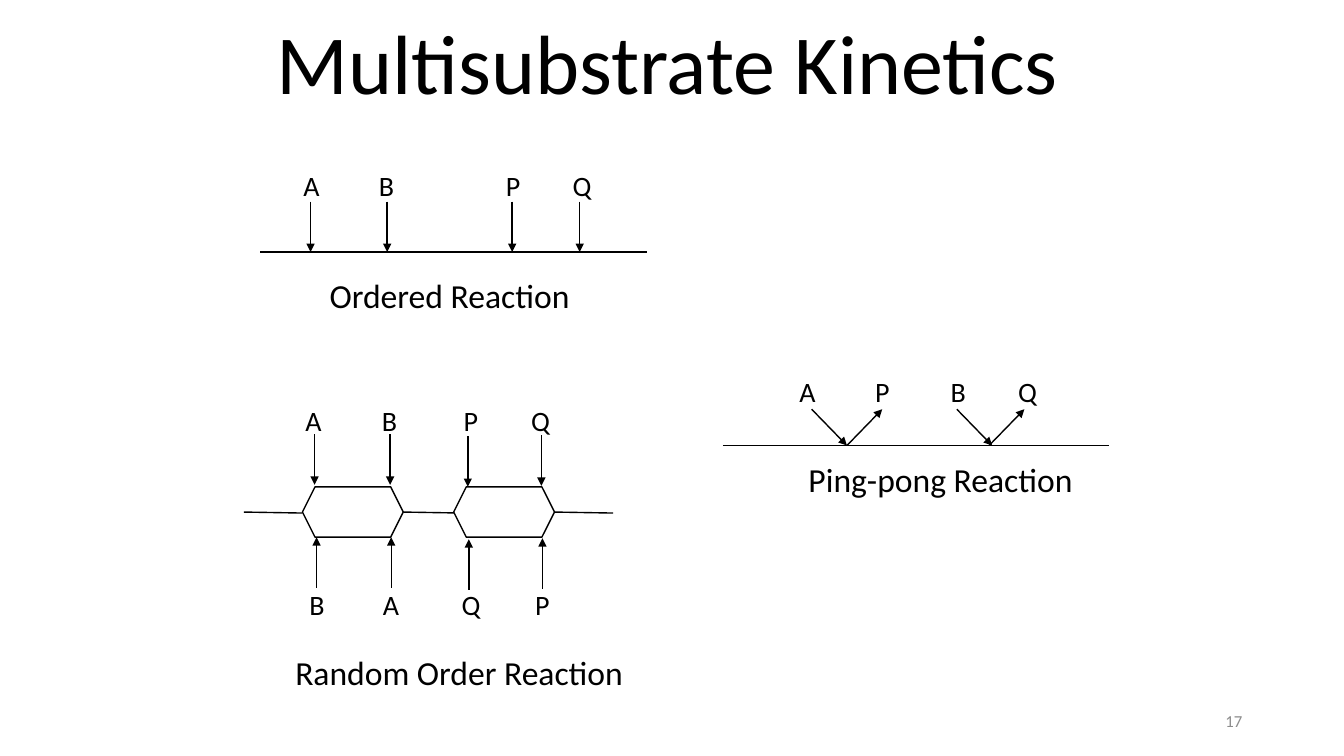
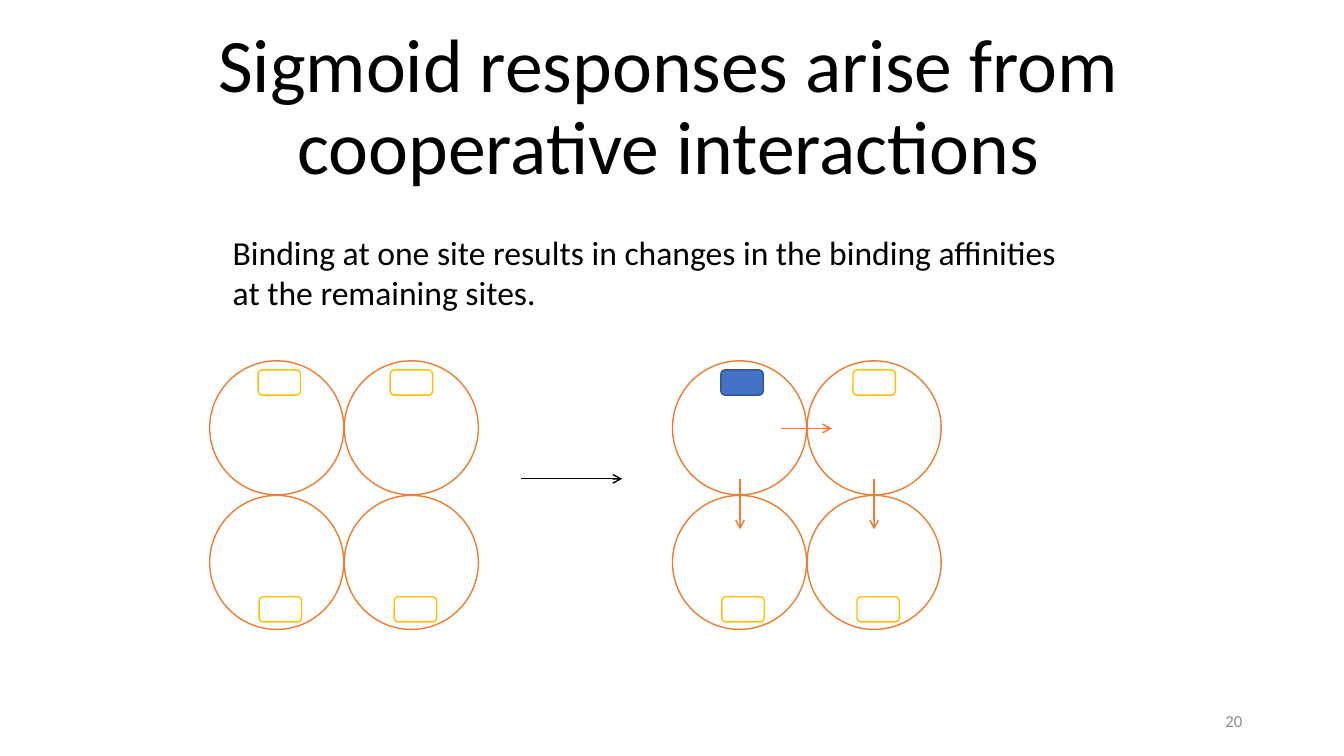
from lxml.etree import SubElement
from pptx import Presentation
from pptx.dml.color import RGBColor
from pptx.enum.shapes import MSO_CONNECTOR, MSO_SHAPE
from pptx.enum.text import MSO_ANCHOR, MSO_AUTO_SIZE, PP_ALIGN
from pptx.oxml.ns import qn
from pptx.util import Inches, Pt

FONT = "Calibri"
COLORS = {
    "text": "000000",
    "muted": "8C8C8C",
    "paper": "FFFFFF",
    "subunit": "ED7D31",
    "site": "FFC000",
    "bound": "4472C4",
    "bound_edge": "325491",
}


def rgb(name):
    """Return the named palette colour."""
    return RGBColor.from_string(COLORS[name])


def add_text(s, box, lines, size, color="text", align=PP_ALIGN.LEFT,
             anchor=MSO_ANCHOR.TOP, wrap=True, grow=False, spacing=None):
    """Add a text box with one paragraph per line."""
    tf = s.shapes.add_textbox(*map(Inches, box)).text_frame
    tf.word_wrap = wrap
    tf.auto_size = MSO_AUTO_SIZE.SHAPE_TO_FIT_TEXT if grow else MSO_AUTO_SIZE.NONE
    tf.vertical_anchor = anchor
    for i, line in enumerate(lines):
        p = tf.add_paragraph() if i else tf.paragraphs[0]
        p.alignment = align
        if spacing:
            p.line_spacing = spacing
        r = p.add_run()
        r.text = line
        r.font.name = FONT
        r.font.size = Pt(size)
        r.font.color.rgb = rgb(color)


def add_caption(s, box, *lines):
    """Add unwrapped 24 pt text."""
    add_text(s, box, lines, 24, wrap=False, grow=True)


def add_label(s, x, y, letter):
    """Add a one-letter substrate or product label."""
    add_text(s, (x, y, 0.25, 0.44), [letter], 20, grow=True)


def add_line(s, start, end, color="text", head=None):
    """Add a straight line, with an arrowhead at its end if one is named."""
    sp = s.shapes.add_connector(
        MSO_CONNECTOR.STRAIGHT, *map(Inches, (*start, *end)))
    sp.line.color.rgb = rgb(color)
    sp.line.width = Pt(1)
    if head:
        SubElement(sp.line._get_or_add_ln(), qn("a:tailEnd"), type=head)
    SubElement(sp._element.spPr, qn("a:effectLst"))


def add_outline(s, kind, box, line, fill="paper"):
    """Add a filled preset shape with a thin outline."""
    sp = s.shapes.add_shape(kind, *map(Inches, box))
    sp.shadow.inherit = False
    sp.fill.solid()
    sp.fill.fore_color.rgb = rgb(fill)
    sp.line.color.rgb = rgb(line)
    sp.line.width = Pt(1)


def add_base(prs, title, title_box, title_size, number):
    """Add a blank slide with its title and slide number."""
    s = prs.slides.add_slide(prs.slide_layouts[6])
    add_text(s, title_box, [title], title_size, align=PP_ALIGN.CENTER,
             anchor=MSO_ANCHOR.BOTTOM, spacing=0.9)
    add_text(s, (9.42, 6.95, 3, 0.4), [number], 12, "muted",
             PP_ALIGN.RIGHT, MSO_ANCHOR.MIDDLE)
    return s


def add_ordered(s):
    """Draw the ordered reaction scheme."""
    add_line(s, (2.58, 2.5), (6.42, 2.5))
    for letter, label_x, x in (("A", 2.91, 3.08), ("B", 3.66, 3.84),
                               ("P", 4.92, 5.08), ("Q", 5.58, 5.75)):
        add_label(s, label_x, 1.62, letter)
        add_line(s, (x, 2), (x, 2.5), head="triangle")
    add_caption(s, (3.17, 2.68, 2.61, 0.5), "Ordered Reaction")


def add_random_order(s):
    """Draw the random order scheme with its two branching loops."""
    for x in (2.42, 4, 5.5):
        add_line(s, (x, 5.08), (x + 0.58, 5.09))
    for x in (3, 4.5):
        add_outline(s, MSO_SHAPE.HEXAGON, (x, 4.83, 1, 0.5), "text")
    for letter, label_x, x, y in (("A", 2.93, 3.12, 4.31), ("B", 3.69, 3.87, 4.31),
                                  ("P", 4.5, 4.64, 4.33), ("Q", 5.17, 5.37, 4.32)):
        add_label(s, label_x, 3.95, letter)
        add_line(s, (x, y), (x, y + 0.5), head="triangle")
    for letter, label_x, x, y in (("B", 2.97, 3.14, 5.83), ("A", 3.7, 3.88, 5.83),
                                  ("Q", 4.48, 4.65, 5.85), ("P", 5.21, 5.38, 5.84)):
        add_label(s, label_x, 5.78, letter)
        add_line(s, (x, y), (x, y - 0.5), head="triangle")
    add_caption(s, (2.83, 6.42, 3.49, 0.5), "Random Order Reaction")


def add_ping_pong(s):
    """Draw the ping-pong scheme."""
    top, base = 4.06, 4.42
    add_line(s, (7.17, base), (11, base))
    for letter, x in (("A", 7.83), ("P", 8.58), ("B", 9.33), ("Q", 10)):
        add_label(s, x, 3.67, letter)
    for enter, leave in ((8.05, 8.4), (9.49, 9.81)):
        add_line(s, (enter, top), (enter + 0.35, base), head="triangle")
        add_line(s, (leave, base), (leave + 0.35, top), head="triangle")
    add_caption(s, (7.92, 4.5, 2.85, 0.5), "Ping-pong Reaction")


def add_tetramer(s, left, bound=False):
    """Draw four subunits with binding sites, the first one bound if asked."""
    top, pitch = 3.58, 1.335
    for row in range(2):
        for col in range(2):
            add_outline(s, MSO_SHAPE.OVAL,
                        (left + col * pitch, top + row * pitch, 1.33, 1.33),
                        "subunit")
    for i, (dx, y) in enumerate(((0.48, 3.67), (1.79, 3.67),
                                 (0.49, 5.92), (1.83, 5.92))):
        line, fill = ("bound_edge", "bound") if bound and i == 0 else ("site", "paper")
        add_outline(s, MSO_SHAPE.ROUNDED_RECTANGLE,
                    (left + dx, y, 0.42, 0.25), line, fill)


def add_kinetics_slide(prs):
    """Build the slide on multisubstrate kinetics."""
    s = add_base(prs, "Multisubstrate Kinetics", (2.08, 0.08, 9.08, 1.09), 60, "17")
    add_ordered(s)
    add_random_order(s)
    add_ping_pong(s)


def add_cooperativity_slide(prs):
    """Build the slide on cooperative binding."""
    s = add_base(prs, "Sigmoid responses arise from cooperative interactions",
                 (0.73, 0.33, 11.8, 1.61), 54, "20")
    add_caption(s, (2.21, 2.25, 8.45, 0.91),
                "Binding at one site results in changes in the binding affinities",
                "at the remaining sites.")
    add_tetramer(s, 2.08)
    add_tetramer(s, 6.67, bound=True)
    add_line(s, (5.17, 4.75), (6.17, 4.75), head="arrow")
    add_line(s, (7.75, 4.25), (8.25, 4.25), "subunit", "arrow")
    for x in (7.34, 8.67):
        add_line(s, (x, 4.75), (x, 5.25), "subunit", "arrow")


def main():
    """Build and save the presentation."""
    prs = Presentation()
    prs.slide_width, prs.slide_height = Inches(13.33), Inches(7.5)
    add_kinetics_slide(prs)
    add_cooperativity_slide(prs)
    prs.save("out.pptx")


main()
